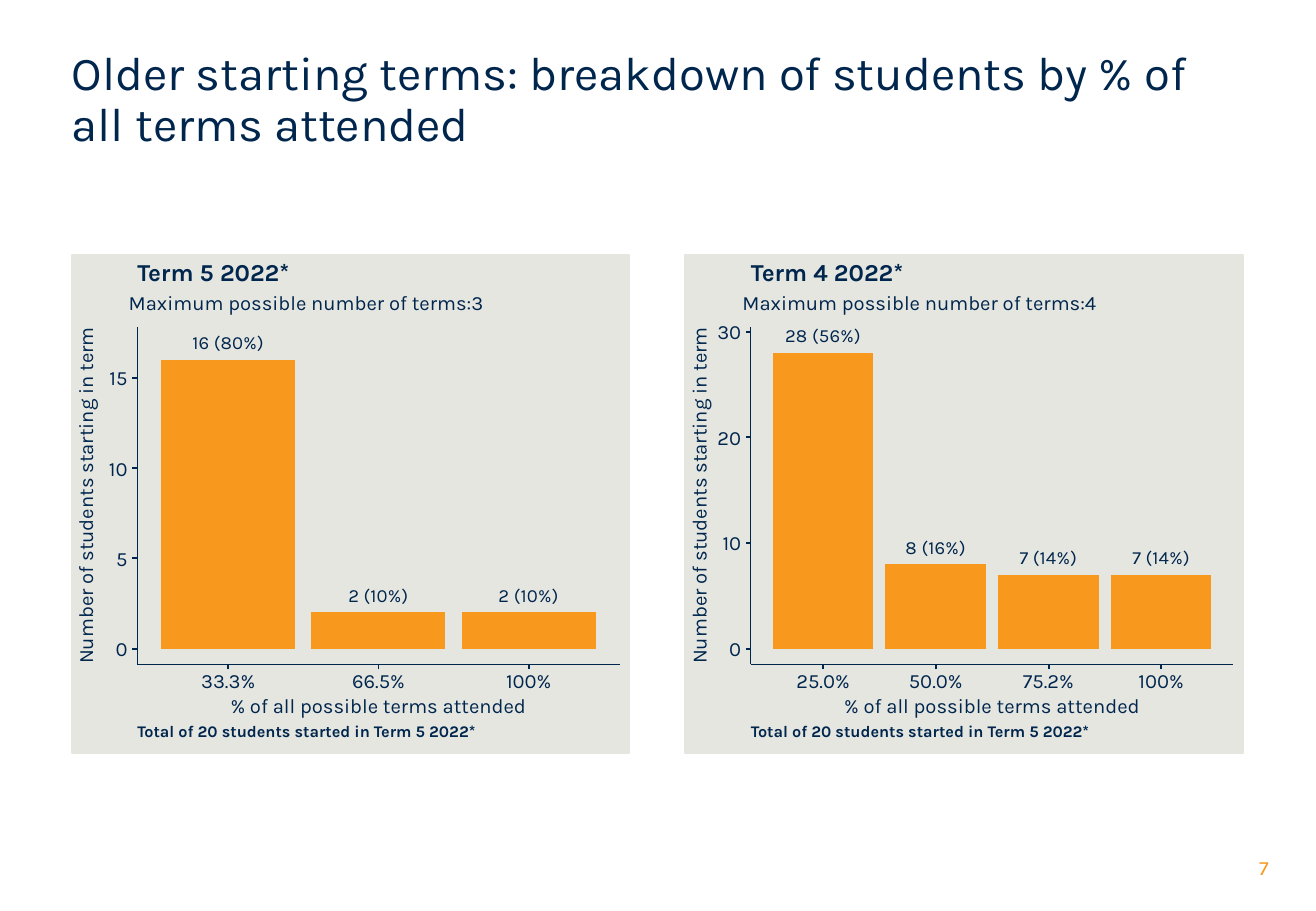
from lxml import etree
from pptx import Presentation
from pptx.chart.data import CategoryChartData
from pptx.dml.color import RGBColor
from pptx.enum import chart as ch, shapes, text
from pptx.oxml import parse_xml
from pptx.oxml.ns import nsdecls, qn
from pptx.util import Inches, Pt

COLORS = {"navy": "00264D", "orange": "F8981D", "panel": "E6E6E1"}
FONT = "Karla"
LEFT, CENTER, RIGHT = text.PP_ALIGN.LEFT, text.PP_ALIGN.CENTER, text.PP_ALIGN.RIGHT
PANEL_W, PANEL_H = 4.59, 4.1
AXIS_X, AXIS_Y, AXIS_W, AXIS_H = 0.54, 0.59, 3.97, 2.78
INSET, BARS_W, HEADROOM, TICK = 0.13, 3.71, 0.2, 0.04

TERMS = [
    {"title": "Term 5 2022*", "terms": 3, "max": 17.82, "step": 5,
     "bars": [("33.3%", 16, "80%"), ("66.5%", 2, "10%"), ("100%", 2, "10%")]},
    {"title": "Term 4 2022*", "terms": 4, "max": 30.46, "step": 10,
     "bars": [("25.0%", 28, "56%"), ("50.0%", 8, "16%"),
              ("75.2%", 7, "14%"), ("100%", 7, "14%")]},
]


def rgb(name):
    """Return a palette colour."""
    return RGBColor.from_string(COLORS[name])


def style(font, size, color="navy", bold=False):
    """Format a font in the slide's typeface."""
    font.name, font.size, font.bold = FONT, Pt(size), bold
    font.color.rgb = rgb(color)


def add_label(s, words, x, y, w, h=0.2, size=12, align=LEFT, color="navy", bold=False):
    """Add one line of text in the given box."""
    box = s.shapes.add_textbox(Inches(x), Inches(y), Inches(w), Inches(h))
    tf = box.text_frame
    tf.word_wrap = True
    tf.vertical_anchor = text.MSO_ANCHOR.MIDDLE
    tf.margin_left = tf.margin_right = tf.margin_top = tf.margin_bottom = 0
    p = tf.paragraphs[0]
    p.text, p.alignment = words, align
    style(p.runs[0].font, size, color, bold)
    return box


def add_line(s, x1, y1, x2, y2, width):
    """Draw a navy line between two points."""
    line = s.shapes.add_connector(shapes.MSO_CONNECTOR.STRAIGHT,
                                  Inches(x1), Inches(y1), Inches(x2), Inches(y2))
    line.line.color.rgb, line.line.width = rgb("navy"), Pt(width)
    etree.SubElement(line._element.spPr, qn("a:effectLst"))


def clear_background(chart, top):
    """Make the chart transparent and fit its plot below the headroom."""
    no_fill = f'<c:spPr {nsdecls("c", "a")}><a:noFill/><a:ln><a:noFill/></a:ln></c:spPr>'
    space = chart._chartSpace
    space.find(qn("c:txPr")).addprevious(parse_xml(no_fill))
    area = space.find(".//" + qn("c:plotArea"))
    area.append(parse_xml(no_fill))
    for old in area.findall(qn("c:layout")):
        area.remove(old)
    area.insert(0, parse_xml(
        f'<c:layout {nsdecls("c")}><c:manualLayout><c:layoutTarget val="inner"/>'
        '<c:xMode val="edge"/><c:yMode val="edge"/><c:x val="0"/>'
        f'<c:y val="{top:.2f}"/><c:w val="1"/><c:h val="{1 - top:.2f}"/>'
        '</c:manualLayout></c:layout>'))


def add_bars(s, term, x, y, w, h):
    """Add the column chart whose plot fills the given box."""
    data = CategoryChartData()
    data.categories = [name for name, _, _ in term["bars"]]
    data.add_series("Students", [count for _, count, _ in term["bars"]])
    chart = s.shapes.add_chart(ch.XL_CHART_TYPE.COLUMN_CLUSTERED, Inches(x),
                               Inches(y - HEADROOM), Inches(w), Inches(h + HEADROOM), data).chart
    chart.has_legend = chart.has_title = False
    style(chart.font, 11)
    clear_background(chart, HEADROOM / (h + HEADROOM))
    axis = chart.value_axis
    axis.minimum_scale, axis.maximum_scale, axis.major_unit = 0, term["max"], term["step"]
    axis.has_major_gridlines = False
    axis.visible = chart.category_axis.visible = False
    plot = chart.plots[0]
    plot.gap_width, plot.vary_by_categories = 12, False
    series = plot.series[0]
    series.format.fill.solid()
    series.format.fill.fore_color.rgb = rgb("orange")
    for i, (_, count, share) in enumerate(term["bars"]):
        label = series.points[i].data_label
        label.position = ch.XL_LABEL_POSITION.OUTSIDE_END
        p = label.text_frame.paragraphs[0]
        p.text = f"{count} ({share})"
        style(p.runs[0].font, 11)


def add_axes(s, term, x, y, zero):
    """Draw the offset axes with their ticks and labels."""
    bottom = y + AXIS_H
    add_line(s, x, bottom, x, y, 0.57)
    add_line(s, x, bottom, x + AXIS_W, bottom, 0.57)
    for value in range(0, int(term["max"]) + 1, term["step"]):
        ty = zero - (zero - y) * value / term["max"]
        add_line(s, x - TICK, ty, x, ty, 1.16)
        add_label(s, str(value), x - 0.48, ty - 0.1, 0.4, align=RIGHT)
    pitch = BARS_W / len(term["bars"])
    for i, (name, _, _) in enumerate(term["bars"]):
        tx = x + INSET + pitch * (i + 0.5)
        add_line(s, tx, bottom + TICK, tx, bottom, 1.16)
        add_label(s, name, tx - 0.4, bottom + 0.03, 0.8, align=CENTER)
    add_label(s, "% of all possible terms attended", x, bottom + 0.24, AXIS_W, align=CENTER)
    side = add_label(s, "Number of students starting in term",
                     x - 0.43 - 1.5, y + AXIS_H / 2 - 0.1, 3, align=CENTER)
    side.rotation = 270


def add_panel(s, term, x, y):
    """Build one term's panel from its top left corner."""
    panel = s.shapes.add_shape(shapes.MSO_SHAPE.RECTANGLE, Inches(x), Inches(y),
                               Inches(PANEL_W), Inches(PANEL_H))
    panel.shadow.inherit = False
    panel.fill.solid()
    panel.fill.fore_color.rgb = panel.line.color.rgb = rgb("panel")
    panel.line.width = Pt(1.16)
    ax, ay = x + AXIS_X, y + AXIS_Y
    zero = ay + AXIS_H - INSET
    add_bars(s, term, ax + INSET, ay, BARS_W, zero - ay)
    add_axes(s, term, ax, ay, zero)
    add_label(s, term["title"], ax, y + 0.02, 3, 0.24, 14.4, bold=True)
    add_label(s, f"Maximum possible number of terms:{term['terms']}", ax - 0.07, y + 0.29, 3.6)
    add_label(s, "Total of 20 students started in Term 5 2022*", ax, y + 3.82, 3.6,
              size=9.6, bold=True)


def add_title(s, words, x, y, w, h):
    """Place and format the slide title."""
    title = s.shapes.title
    title.left, title.top, title.width, title.height = map(Inches, (x, y, w, h))
    tf = title.text_frame
    tf.text = words
    tf.word_wrap, tf.auto_size = True, text.MSO_AUTO_SIZE.NONE
    tf.vertical_anchor = text.MSO_ANCHOR.MIDDLE
    tf.margin_left = tf.margin_right = 0
    p = tf.paragraphs[0]
    p.alignment, p.line_spacing = LEFT, 0.9
    style(p.runs[0].font, 28)


def main():
    """Build and save the slide."""
    prs = Presentation()
    prs.slide_width, prs.slide_height = Inches(10.83), Inches(7.5)
    s = prs.slides.add_slide(prs.slide_layouts[5])
    add_title(s, "Older starting terms: breakdown of students by % of all terms attended",
              0.59, 0.35, 9.65, 0.95)
    for i, term in enumerate(TERMS):
        add_panel(s, term, 0.59 + 5.05 * i, 2.1)
    add_label(s, "7", 9.67, 6.99, 0.77, 0.3, align=RIGHT, color="orange")
    prs.save("out.pptx")


if __name__ == "__main__":
    main()
